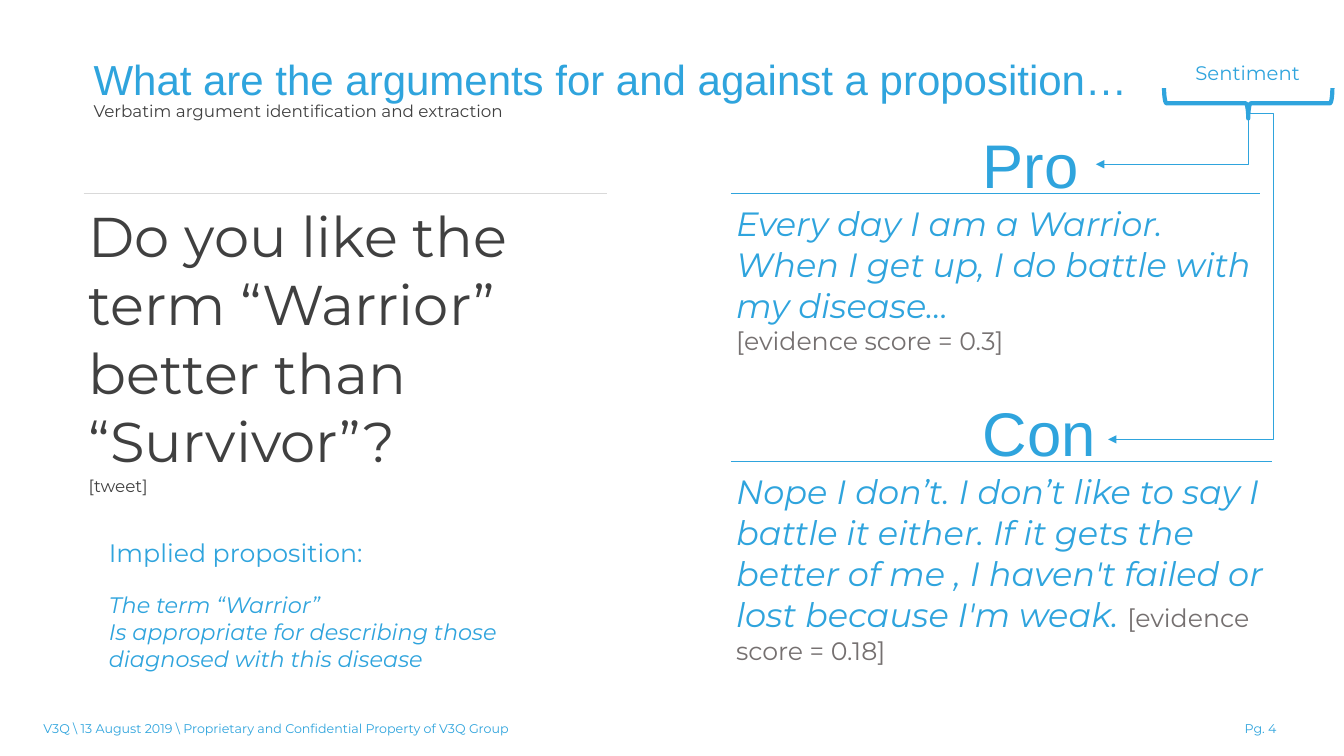
from lxml.etree import SubElement
from pptx import Presentation
from pptx.dml.color import RGBColor
from pptx.enum.shapes import MSO_CONNECTOR, MSO_SHAPE
from pptx.enum.text import MSO_ANCHOR, PP_ALIGN
from pptx.oxml import parse_xml
from pptx.oxml.ns import nsdecls, qn
from pptx.util import Inches, Pt

COLORS = {"blue": "2FA4DD", "dark": "404040", "gray": "757070", "rule": "D9D9D9"}
BODY, HEADING = "Montserrat", "Arial"


def color(name):
    return RGBColor.from_string(COLORS[name])


def style(font, size, ink="blue", face=BODY, italic=False):
    font.size, font.name, font.italic = Pt(size), face, italic
    font.color.rgb = color(ink)


def set_margins(target, insets):
    (target.margin_left, target.margin_top,
     target.margin_right, target.margin_bottom) = map(Inches, insets)


def add_label(slide, box, lines, insets=(0.05,) * 4, anchor=MSO_ANCHOR.MIDDLE,
              align=PP_ALIGN.LEFT, spacing=None, wrap=True):
    """Place a text box; each line is (text, style options)."""
    frame = slide.shapes.add_textbox(*map(Inches, box)).text_frame
    frame.word_wrap, frame.vertical_anchor = wrap, anchor
    set_margins(frame, insets)
    for index, (text, options) in enumerate(lines):
        paragraph = frame.paragraphs[0] if index == 0 else frame.add_paragraph()
        paragraph.text, paragraph.alignment = text, align
        paragraph.line_spacing = spacing
        style(paragraph.font, **options)
    return frame


def add_header(slide, left, top, width):
    add_label(slide, (left, top + 0.61, width, 0.23),
              [("Verbatim argument identification and extraction",
                dict(size=12, ink="dark"))],
              (0.1, 0, 0.1, 0.05), MSO_ANCHOR.TOP, spacing=0.9)
    add_label(slide, (left, top, width, 0.62),
              [("What are the arguments for and against a proposition…",
                dict(size=30, face=HEADING))],
              (0.1, 0.05, 0.1, 0), MSO_ANCHOR.BOTTOM, spacing=Pt(28))


def add_footer(slide, left, top, right):
    note = dict(size=9)
    add_label(slide, (left, top, 5.98, 0.25),
              [("V3Q \\ 13 August 2019 \\ Proprietary and Confidential Property of V3Q Group",
                note)], (0, 0.05, 0.1, 0.05), wrap=False)
    add_label(slide, (right - 3.27, top, 3.27, 0.25), [("Pg. 4", note)],
              (0, 0.05, 0, 0.05), MSO_ANCHOR.TOP, PP_ALIGN.RIGHT)


def add_quote(slide, box, paragraphs, rule):
    """Place a one-cell table with a top rule; paragraphs are lists of runs."""
    table = slide.shapes.add_table(1, 1, *map(Inches, box)).table
    table.first_row = table.horz_banding = False
    cell = table.cell(0, 0)
    cell.fill.background()
    set_margins(cell, (0.05, 0.1, 0.05, 0.05))
    for index, runs in enumerate(paragraphs):
        frame = cell.text_frame
        paragraph = frame.paragraphs[0] if index == 0 else frame.add_paragraph()
        for text, options in runs:
            run = paragraph.add_run()
            run.text = text
            style(run.font, **options)
    # Only the top border shows
    for position, side in enumerate(("lnL", "lnR", "lnT", "lnB")):
        paint = "<a:noFill/>"
        if side == "lnT":
            paint = f'<a:solidFill><a:srgbClr val="{COLORS[rule]}"/></a:solidFill>'
        border = parse_xml(f'<a:{side} {nsdecls("a")} w="{Pt(1)}">{paint}</a:{side}>')
        cell._tc.get_or_add_tcPr().insert(position, border)


def add_question(slide, left, top):
    add_quote(slide, (left, top, 5.19, 3.22),
              [[("Do you like the term “Warrior” better than “Survivor”?",
                 dict(size=40, ink="dark"))],
               [("[tweet]", dict(size=12, ink="dark"))]], "rule")
    proposition = dict(size=16, italic=True)
    frame = add_label(slide, (left + 0.2, top + 3.35, 4.23, 1.45),
                      [("Implied proposition:", dict(size=18)),
                       ("The term “Warrior”", proposition),
                       ("Is appropriate for describing those diagnosed with this disease",
                        proposition)])
    frame.paragraphs[1].space_before = Pt(17)


def add_argument(slide, box, side, side_width, paragraphs):
    left, top = box[:2]
    add_quote(slide, box, paragraphs, "blue")
    add_label(slide, (left + 2.4, top - 0.56, side_width, 0.62),
              [(side, dict(size=44, face=HEADING))],
              (0.1, 0.05, 0.1, 0.05), spacing=0.9)


def add_elbow_arrow(slide, tip, stem, lane):
    """Join tip and stem by an elbow whose upright runs at x = lane."""
    arrow = slide.shapes.add_connector(
        MSO_CONNECTOR.ELBOW, *map(Inches, (*tip, *stem)))
    arrow.line.color.rgb, arrow.line.width = color("blue"), Pt(0.5)
    SubElement(arrow.line._get_or_add_ln(), qn("a:headEnd"), type="triangle")
    properties = arrow._element.spPr
    SubElement(properties, qn("a:effectLst"))
    guides = properties.find(qn("a:prstGeom")).get_or_add_avLst()
    bend = round((lane - tip[0]) / (stem[0] - tip[0]) * 100000)
    SubElement(guides, qn("a:gd"), name="adj1", fmla=f"val {bend}")


def add_sentiment(slide, center, top):
    add_label(slide, (center - 0.84, top, 1.67, 0.34),
              [("Sentiment", dict(size=14))], align=PP_ALIGN.CENTER)
    # Brace turned to open upwards under the label
    brace = slide.shapes.add_shape(
        MSO_SHAPE.RIGHT_BRACE, *map(Inches, (center - 0.15, top - 0.36, 0.3, 1.67)))
    brace.rotation = 90
    brace.shadow.inherit = False
    brace.fill.background()
    brace.line.color.rgb, brace.line.width = color("blue"), Pt(3)
    # Arrows to Pro and Con
    add_elbow_arrow(slide, (10.87, 1.63), (center, top + 0.63), center)
    add_elbow_arrow(slide, (10.99, 4.36), (center, top + 0.58), center + 0.25)


def main():
    presentation = Presentation()
    presentation.slide_width, presentation.slide_height = Inches(13.33), Inches(7.5)
    slide = presentation.slides.add_slide(presentation.slide_layouts[6])
    speech = dict(size=24, italic=True)
    score = dict(size=18, ink="gray")

    add_footer(slide, 0.43, 7.1, 12.66)
    add_header(slide, 0.83, 0.41, 11.54)
    add_question(slide, 0.83, 1.92)
    add_argument(slide, (7.25, 1.92, 5.25, 1.65), "Pro", 1.35, [
        [("Every day I am a Warrior. When I get up, I do battle with my disease…", speech)],
        [("[evidence score = 0.3]", score)]])
    add_argument(slide, (7.25, 4.58, 5.37, 2.05), "Con", 1.58, [
        [("Nope I don’t. I don’t like to say I battle it either. If it gets the better "
          "of me , I haven't failed or lost because I'm weak. ", speech),
         ("[evidence score = 0.18]", score)]])
    add_sentiment(slide, 12.38, 0.55)
    presentation.save("out.pptx")


if __name__ == "__main__":
    main()
